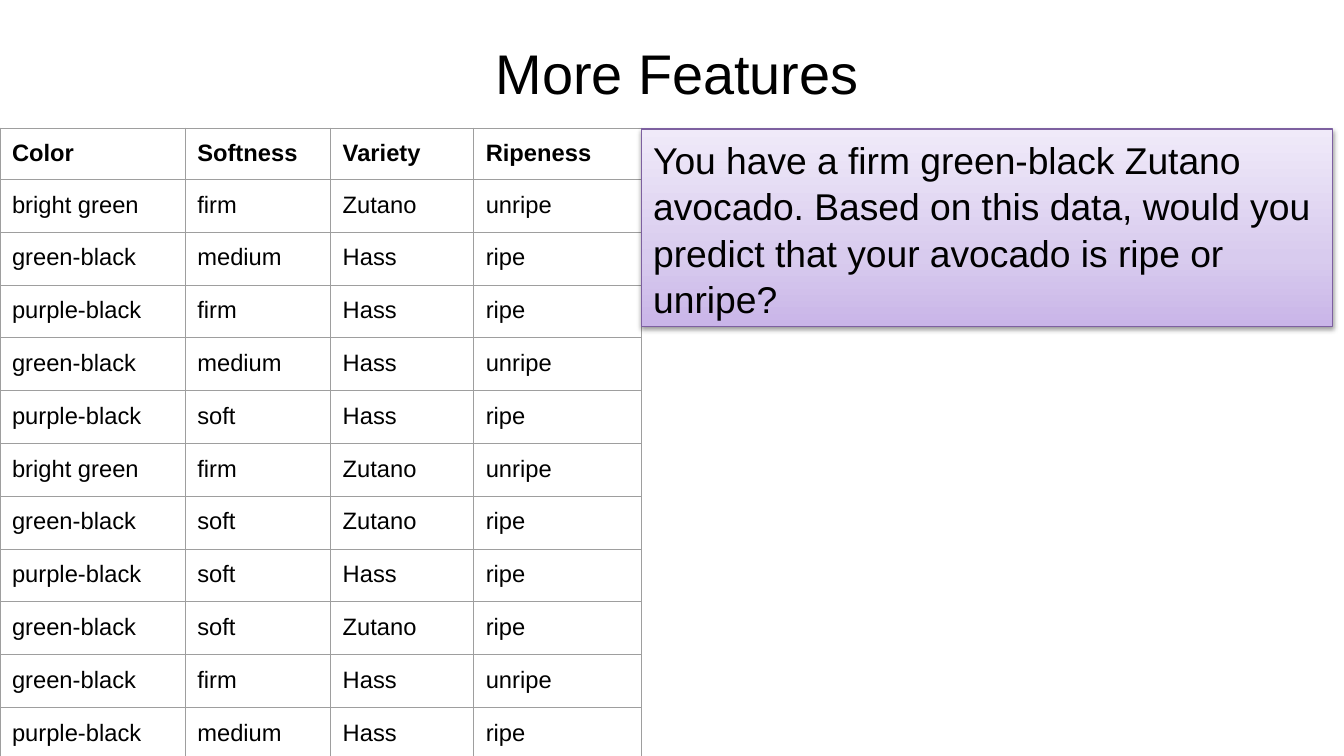
from dataclasses import dataclass

from lxml.etree import SubElement
from pptx import Presentation
from pptx.dml.color import RGBColor
from pptx.enum.shapes import MSO_SHAPE
from pptx.enum.text import MSO_ANCHOR, PP_ALIGN
from pptx.oxml.ns import qn
from pptx.util import Cm, Pt


@dataclass(frozen=True)
class Theme:
    font: str = "Arial"
    ink: str = "000000"
    grid: str = "9E9E9E"
    edge: str = "7D60A0"
    fade: tuple = ((0, "C9B5E8"), (35, "D8CBEE"), (100, "F0EAF9"))
    title: int = 33
    note: int = 22
    cell: int = 14
    line: float = 0.75


theme = Theme()


def write(frame, text, size, bold=False):
    frame.text = text
    font = frame.paragraphs[0].runs[0].font
    font.name, font.size, font.bold = theme.font, Pt(size), bold
    font.color.rgb = RGBColor.from_string(theme.ink)


def add(parent, tag, **attrs):
    """Append a DrawingML child and return it."""
    return SubElement(parent, qn(tag), {k: str(v) for k, v in attrs.items()})


deck = Presentation()
deck.slide_width, deck.slide_height = Cm(28), Cm(15.75)
slide = deck.slides.add_slide(deck.slide_layouts[5])

# Title
title = slide.shapes.title
title.left, title.top, title.width, title.height = Cm(0.81), Cm(0.61), Cm(26.6), Cm(1.8)
frame = title.text_frame
write(frame, "More Features", theme.title)
frame.margin_left = frame.margin_right = frame.margin_top = frame.margin_bottom = 0
frame.vertical_anchor = MSO_ANCHOR.MIDDLE
frame.paragraphs[0].alignment = PP_ALIGN.CENTER

# Avocado table
rows = [
    ("Color", "Softness", "Variety", "Ripeness"),
    ("bright green", "firm", "Zutano", "unripe"),
    ("green-black", "medium", "Hass", "ripe"),
    ("purple-black", "firm", "Hass", "ripe"),
    ("green-black", "medium", "Hass", "unripe"),
    ("purple-black", "soft", "Hass", "ripe"),
    ("bright green", "firm", "Zutano", "unripe"),
    ("green-black", "soft", "Zutano", "ripe"),
    ("purple-black", "soft", "Hass", "ripe"),
    ("green-black", "soft", "Zutano", "ripe"),
    ("green-black", "firm", "Hass", "unripe"),
    ("purple-black", "medium", "Hass", "ripe"),
]
widths = (3.86, 3.03, 2.98, 3.49)
table = slide.shapes.add_table(
    len(rows), len(widths), 0, Cm(2.67), Cm(sum(widths)), Cm(13.17)).table
table.horz_banding = False
for column, width in zip(table.columns, widths):
    column.width = Cm(width)
for r, row in enumerate(rows):
    table.rows[r].height = Cm(1.1 if r else 1.07)
    for c, text in enumerate(row):
        cell = table.cell(r, c)
        write(cell.text_frame, text, theme.cell, bold=r == 0)
        cell.margin_left = cell.margin_right = Cm(0.25)
        cell.margin_top = cell.margin_bottom = Cm(0.25)
        props = cell._tc.get_or_add_tcPr()
        for side in "LRTB":
            line = add(props, f"a:ln{side}", w=Pt(theme.line))
            add(add(line, "a:solidFill"), "a:srgbClr", val=theme.grid)
        cell.fill.background()

# Question box
box = slide.shapes.add_shape(
    MSO_SHAPE.RECTANGLE, Cm(13.36), Cm(2.69), Cm(14.4), Cm(4.11))
box.line.color.rgb = RGBColor.from_string(theme.edge)
box.line.width = Pt(theme.line)
box.fill.gradient()
box.fill.gradient_angle = 90
stops = box._element.spPr.find(qn("a:gradFill")).find(qn("a:gsLst"))
for stop in list(stops):
    stops.remove(stop)
for place, color in theme.fade:
    add(add(stops, "a:gs", pos=place * 1000), "a:srgbClr", val=color)

box.shadow.inherit = False
shade = add(box._element.spPr.find(qn("a:effectLst")), "a:outerShdw",
            blurRad=Pt(3.1), dist=Pt(1.6), dir=90 * 60000, rotWithShape=0)
add(add(shade, "a:srgbClr", val=theme.ink), "a:alpha", val=38000)

frame = box.text_frame
write(frame, "You have a firm green-black Zutano avocado. Based on this data, "
      "would you predict that your avocado is ripe or unripe?", theme.note)
frame.word_wrap = True
frame.vertical_anchor = MSO_ANCHOR.TOP
frame.margin_left = frame.margin_right = Cm(0.25)
frame.margin_top = frame.margin_bottom = Cm(0.13)
frame.paragraphs[0].alignment = PP_ALIGN.LEFT
frame.paragraphs[0].line_spacing = 1.04

deck.save("out.pptx")
